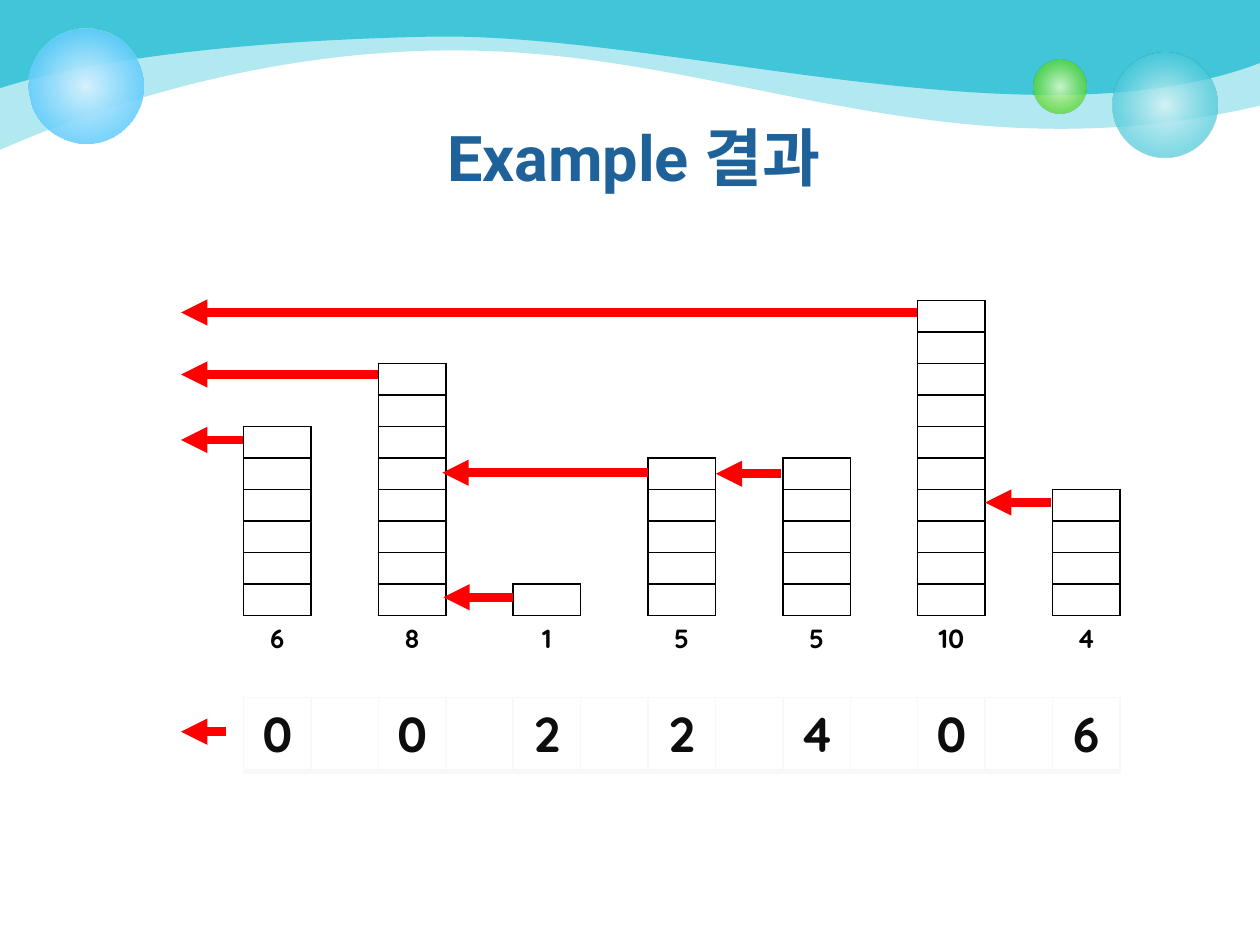
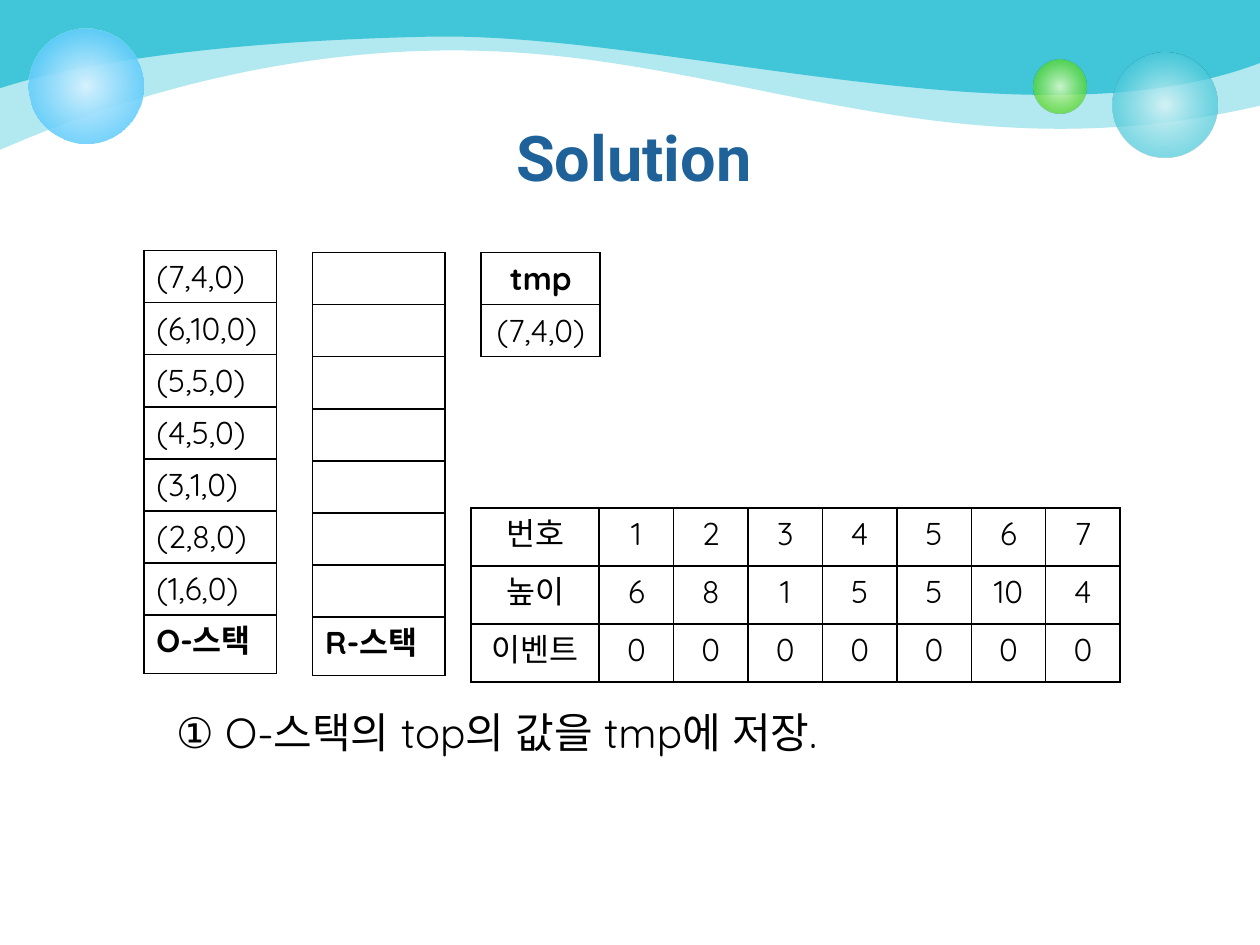
from dataclasses import dataclass
from typing import Callable

from lxml import etree
from pptx import Presentation
from pptx.dml.color import RGBColor
from pptx.enum.shapes import MSO_CONNECTOR, MSO_SHAPE
from pptx.enum.text import MSO_ANCHOR, PP_ALIGN
from pptx.oxml.ns import qn
from pptx.util import Cm, Pt

LEFT, CENTER = PP_ALIGN.LEFT, PP_ALIGN.CENTER
MIDDLE = MSO_ANCHOR.MIDDLE
OVAL = MSO_SHAPE.OVAL
STRAIGHT = MSO_CONNECTOR.STRAIGHT

SLIDE_WIDTH, SLIDE_HEIGHT = 25.4, 19.05
BODY_FONT, TITLE_FONT = "Quicksand", "Roboto"
BLACK, WHITE, RED = "000000", "FFFFFF", "FF0000"
TITLE_BLUE, WAVE_TEAL = "1F6299", "40C6D8"
DARK_GREY, PALE_GREY = "0D0D0D", "F8F8F8"
PLAIN_STYLE = "{2D5ABB26-0587-4C30-8999-92F81FD0307C}"

colour = RGBColor.from_string


def write(frame, text, size, ink=BLACK, bold=False, align=LEFT, font=BODY_FONT):
    para = frame.paragraphs[0]
    para.alignment = align
    span = para.add_run()
    span.text = text
    span.font.size = Pt(size)
    span.font.name = font
    span.font.bold = bold
    span.font.color.rgb = colour(ink)
    if font == BODY_FONT:
        etree.SubElement(span._r.get_or_add_rPr(), qn("a:ea"), typeface=font)


def draw_edge(cell, side, ink, points):
    """Add one border, or an empty one without ink; sides come in the order L, R, T, B."""
    edge = etree.SubElement(cell._tc.get_or_add_tcPr(), qn("a:ln" + side), w=str(Pt(points)))
    if ink:
        fill = etree.SubElement(edge, qn("a:solidFill"))
        etree.SubElement(fill, qn("a:srgbClr"), val=ink)
    else:
        etree.SubElement(edge, qn("a:noFill"))


# Each wave: opacity in percent, left edge height, then two curves of three points
waves = [
    (40, 3.02, [(0.84, 2.67), (5, 0.79), (10.06, 1.04),
                (15.11, 1.27), (19.3, 3.56), (SLIDE_WIDTH, 2.13)]),
    (100, 1.78, [(1.14, 1.4), (3.89, 0.84), (8.66, 0.74),
                 (13.44, 0.64), (20.83, 3.02), (SLIDE_WIDTH, 1.27)]),
]

# Each bubble: left, top, diameter, gradient stops (position, colour, opacity)
bubbles = [
    (22.43, 1.06, 2.12, [(0, "D9F4F7", 90), (76, WAVE_TEAL, 70)]),
    (20.83, 1.2, 1.08, [(0, "DAFACD", 90), (76, "4CD416", 70)]),
    (0.57, 0.57, 2.32, [(0, "D6F2FE", 100), (100, "33BDFB", 80)]),
]

deck = Presentation()
deck.slide_width, deck.slide_height = Cm(SLIDE_WIDTH), Cm(SLIDE_HEIGHT)
pages = []

for title in ("Example 결과", "Solution"):
    page = deck.slides.add_slide(deck.slide_layouts[6])
    pages.append(page)

    for opacity, edge_height, curve_points in waves:
        builder = page.shapes.build_freeform(Cm(0), Cm(edge_height))
        corners = [(SLIDE_WIDTH, 0), (0, 0)]
        builder.add_line_segments([(Cm(x), Cm(y)) for x, y in curve_points + corners], close=True)
        wave = builder.convert_to_shape()
        wave.shadow.inherit = False
        wave.line.fill.background()
        wave.fill.solid()
        wave.fill.fore_color.rgb = colour(WAVE_TEAL)
        properties = wave._element.spPr
        tint = properties.find(qn("a:solidFill")).find(qn("a:srgbClr"))
        if opacity < 100:
            etree.SubElement(tint, qn("a:alpha"), val=str(opacity * 1000))
        # Turn each three straight segments into one curve
        segments = list(properties.iter(qn("a:lnTo")))
        for first in (0, 3):
            curve = etree.Element(qn("a:cubicBezTo"))
            segments[first].addprevious(curve)
            for segment in segments[first:first + 3]:
                curve.append(segment[0])
                segment.getparent().remove(segment)

    for left, top, diameter, stops in bubbles:
        bubble = page.shapes.add_shape(OVAL, Cm(left), Cm(top), Cm(diameter), Cm(diameter))
        bubble.shadow.inherit = False
        bubble.line.fill.background()
        bubble.fill.gradient()
        gradient = bubble._element.spPr.find(qn("a:gradFill"))
        gradient.clear()
        stop_list = etree.SubElement(gradient, qn("a:gsLst"))
        for position, ink, opacity in stops:
            stop = etree.SubElement(stop_list, qn("a:gs"), pos=str(position * 1000))
            tint = etree.SubElement(stop, qn("a:srgbClr"), val=ink)
            etree.SubElement(tint, qn("a:alpha"), val=str(opacity * 1000))
        radial = etree.SubElement(gradient, qn("a:path"), path="circle")
        etree.SubElement(radial, qn("a:fillToRect"), dict.fromkeys("ltrb", "50000"))

    box = page.shapes.add_textbox(Cm(1.35), Cm(2.26), Cm(22.86), Cm(1.98))
    box.text_frame.word_wrap = True
    box.text_frame.vertical_anchor = MIDDLE
    box.text_frame.margin_bottom = Cm(0.33)
    write(box.text_frame, title, 36, TITLE_BLUE, True, CENTER, TITLE_FONT)

result_page, solution_page = pages


@dataclass
class Grid:
    page: object
    left: float
    top: float
    widths: list
    heights: list
    rows: list
    size: int = 18
    ink: str = BLACK
    align: object = CENTER
    bold_row: int = -1
    edge_ink: str = BLACK
    bottom_width: int = 1
    outlined: Callable = lambda row, column: True
    filled_rows: int = 0


towers = [6, 8, 1, 5, 5, 10, 4]
receivers = [0, 0, 2, 2, 4, 0, 6]
floors = max(towers)
slots = 2 * len(towers) - 1
slot_widths = [17.68 / slots] * slots
stack_heights = [1.05] * 7 + [1.18]
stack = [[f"({number},{height},0)"] for number, height in enumerate(towers, 1)][::-1]


def spread(values):
    """Put the values in every second slot."""
    return [str(values[slot // 2]) if slot % 2 == 0 else "" for slot in range(slots)]


grids = [
    Grid(result_page, 4.91, 6.06, slot_widths, [6.35 / floors] * floors + [0.9],
         [[""] * slots] * floors + [spread(towers)], size=15, bold_row=floors, filled_rows=floors,
         outlined=lambda row, column: column % 2 == 0 and floors - towers[column // 2] <= row < floors),
    Grid(result_page, 4.91, 14.06, slot_widths, [1.49], [spread(receivers)], size=28,
         ink=DARK_GREY, bold_row=0, edge_ink=PALE_GREY, bottom_width=3),
    Grid(solution_page, 2.9, 5.05, [2.67], stack_heights, stack + [["O-스택"]], align=LEFT, bold_row=7),
    Grid(solution_page, 6.3, 5.09, [2.67], stack_heights, [[""]] * 7 + [["R-스택"]], align=LEFT, bold_row=7),
    Grid(solution_page, 9.7, 5.09, [2.4], [1.05] * 2, [["tmp"], stack[0]], bold_row=0),
    Grid(solution_page, 9.49, 10.24, [2.59] + [1.5] * 7, [1.17] * 3,
         [["번호", *range(1, 8)], ["높이", *towers], ["이벤트"] + [0] * 7]),
]
neighbours = {"L": (0, -1), "R": (0, 1), "T": (-1, 0), "B": (1, 0)}

for grid in grids:
    frame = grid.page.shapes.add_table(
        len(grid.heights), len(grid.widths), Cm(grid.left), Cm(grid.top),
        Cm(sum(grid.widths)), Cm(sum(grid.heights)))
    table = frame.table
    table.first_row = table.horz_banding = False
    table._tbl.tblPr.find(qn("a:tableStyleId")).text = PLAIN_STYLE
    for column, width in zip(table.columns, grid.widths):
        column.width = Cm(width)
    for row, height in zip(table.rows, grid.heights):
        row.height = Cm(height)

    for r, values in enumerate(grid.rows):
        for c, value in enumerate(values):
            cell = table.cell(r, c)
            for side, (down, right) in neighbours.items():
                drawn = grid.outlined(r, c) or grid.outlined(r + down, c + right)
                draw_edge(cell, side, grid.edge_ink if drawn else None,
                          grid.bottom_width if side == "B" else 1)
            if r < grid.filled_rows:
                cell.fill.solid()
                cell.fill.fore_color.rgb = colour(WHITE)
            else:
                cell.fill.background()
            if value == "":
                # A small end mark keeps empty rows from growing
                etree.SubElement(cell.text_frame.paragraphs[0]._p, qn("a:endParaRPr"), sz="600")
            else:
                write(cell.text_frame, str(value), grid.size, grid.ink, r == grid.bold_row, grid.align)

# Signal arrows: start x, end x, y
signals = [
    (10.34, 8.94, 12.04), (4.9, 3.65, 8.87), (15.75, 14.43, 9.55), (21.18, 19.86, 10.13),
    (18.49, 3.65, 6.3), (7.62, 3.65, 7.55), (13.06, 8.92, 9.53), (4.55, 3.65, 14.75),
]
for start, end, y in signals:
    arrow = result_page.shapes.add_connector(STRAIGHT, Cm(start), Cm(y), Cm(end), Cm(y))
    arrow.line.color.rgb = colour(RED)
    arrow.line.width = Pt(5)
    etree.SubElement(arrow.line._get_or_add_ln(), qn("a:tailEnd"), type="triangle")
    etree.SubElement(arrow._element.spPr, qn("a:effectLst"))

box = solution_page.shapes.add_textbox(Cm(3.3), Cm(14.12), Cm(18.95), Cm(1.47))
box.text_frame.word_wrap = True
write(box.text_frame, "① O-스택의 top의 값을 tmp에 저장.", 24)

deck.save("out.pptx")
